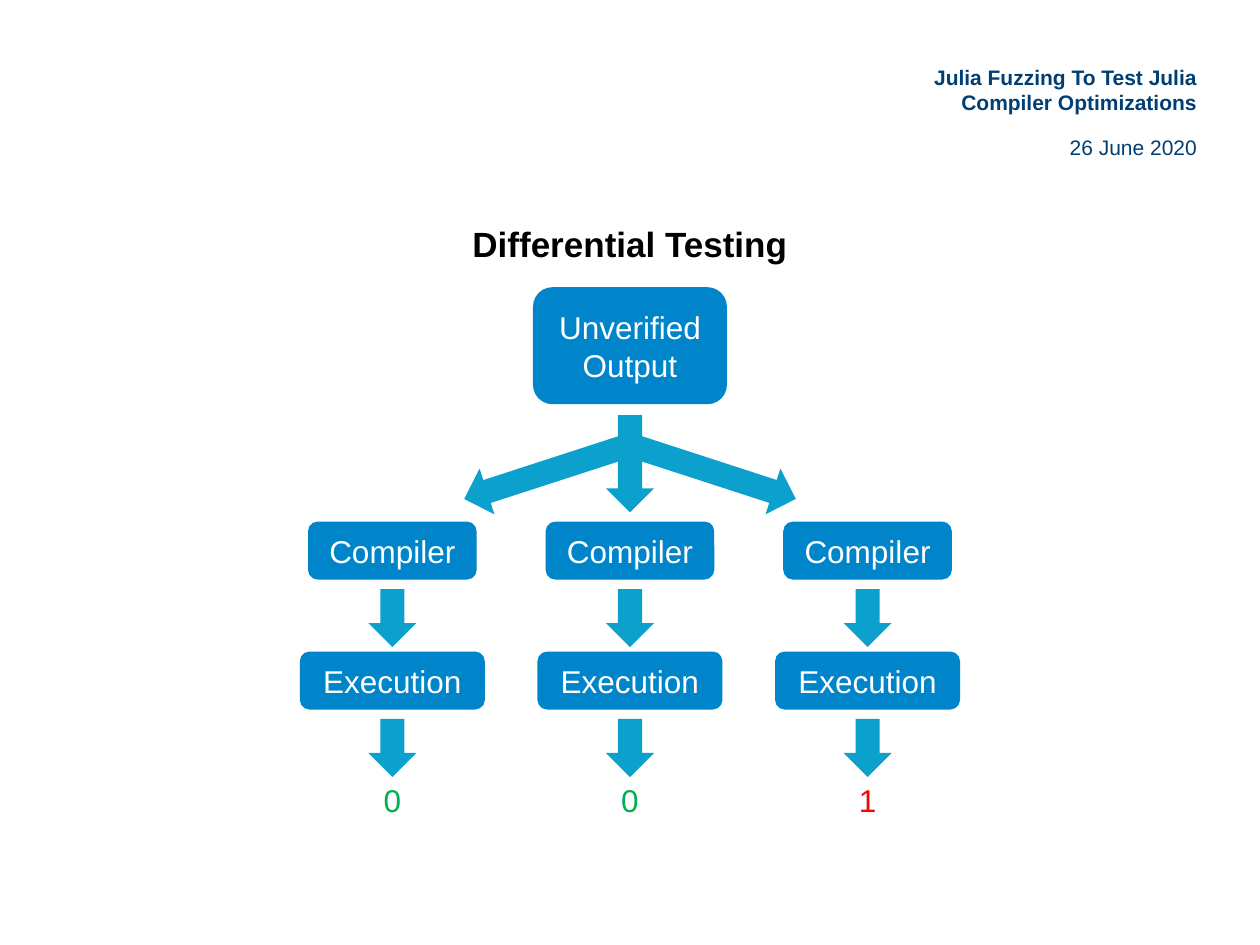
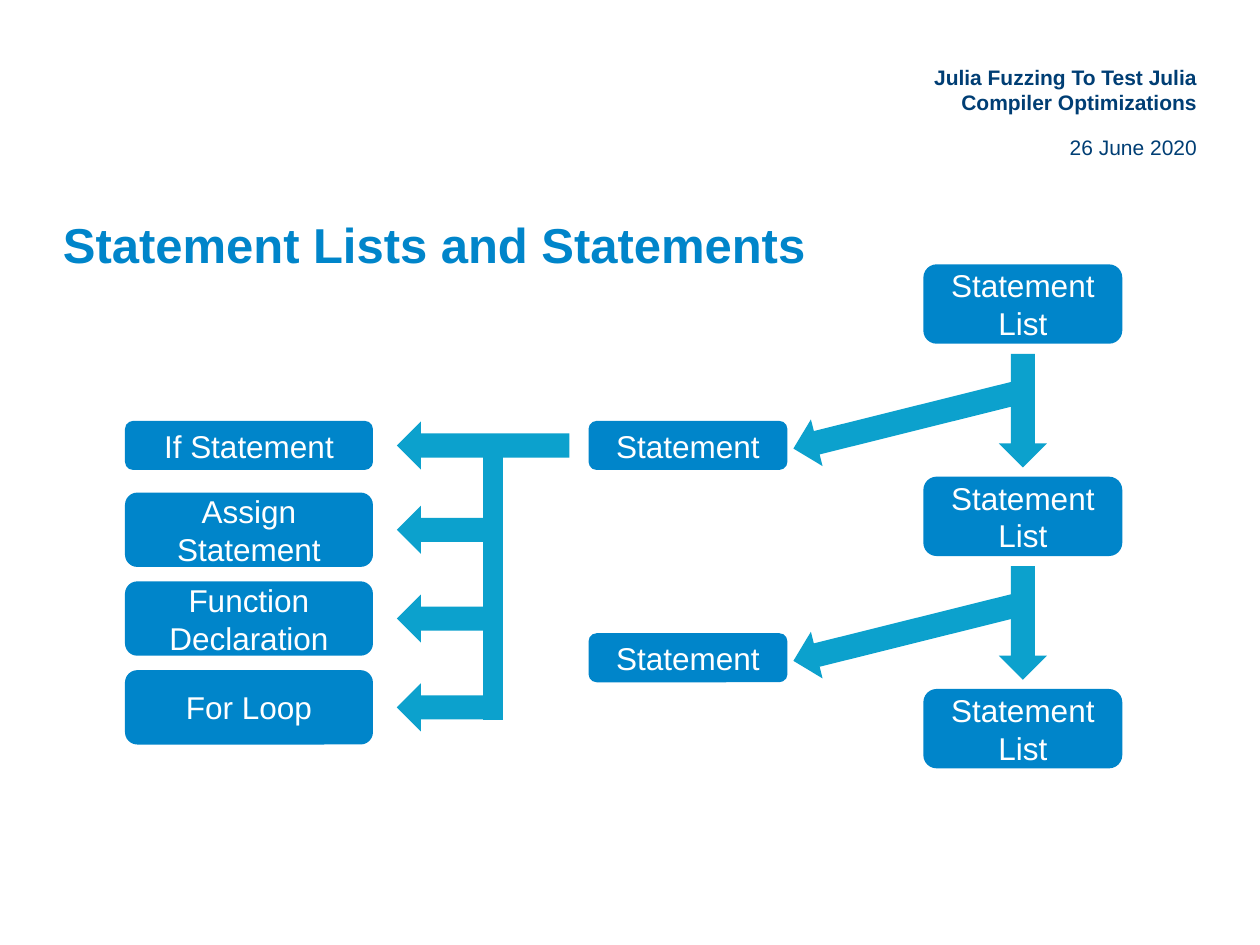
from pptx import Presentation
from pptx import util as u
from pptx.dml.color import RGBColor
from pptx.enum import shapes, text

HUE = {"box": "0085CA", "arrow": "0CA1CD", "head": "003E74", "black": "000000",
       "white": "FFFFFF", "good": "00B050", "bad": "FF0000"}
FONT = "Arial"
KIND = shapes.MSO_SHAPE
ALIGN = text.PP_ALIGN
MID = text.MSO_ANCHOR.MIDDLE
FLAT = {"margin_left": 0, "margin_right": 0, "margin_top": 0, "margin_bottom": 0}
THICK = 0.97


def put(obj, form):
    for key, val in form.items():
        setattr(obj, key, val)


def write(shape, words, size, hue, bold=False, align=ALIGN.CENTER, lead=0, **frame):
    """Set the text of a shape; extra keywords go to its text frame."""
    put(shape.text_frame, {"word_wrap": True, **frame})
    para = shape.text_frame.paragraphs[0]
    put(para, {"alignment": align, "space_before": u.Pt(lead)})
    run = para.add_run()
    run.text = words
    put(run.font, {"name": FONT, "size": u.Pt(size), "bold": bold})
    run.font.color.rgb = RGBColor.from_string(HUE[hue])


def label(slide, left, top, wide, high, words, size, hue, **form):
    area = slide.shapes.add_textbox(*map(u.Cm, (left, top, wide, high)))
    write(area, words, size, hue, **form)


def solid(slide, kind, x, y, wide, high, hue, turn=0):
    """Draw a filled shape centred on (x, y)."""
    shape = slide.shapes.add_shape(
        kind, *map(u.Cm, (x - wide / 2, y - high / 2, wide, high)))
    shape.shadow.inherit = False
    shape.fill.solid()
    shape.fill.fore_color.rgb = RGBColor.from_string(HUE[hue])
    shape.line.fill.background()
    shape.rotation = turn
    return shape


def box(slide, x, y, wide, high, words):
    shape = solid(slide, KIND.ROUNDED_RECTANGLE, x, y, wide, high, "box")
    write(shape, words, 18, "white", vertical_anchor=MID)


def arrow(slide, x, y, span, turn=90):
    solid(slide, KIND.RIGHT_ARROW, x, y, span, THICK, "arrow", turn)


def start(deck, title, size, hue, align):
    """Add a slide with its title and the shared header."""
    slide = deck.slides.add_slide(deck.slide_layouts[6])
    label(slide, 1.27, 4.14, 22.86, 1.42, title, size, hue, bold=True, align=align,
          vertical_anchor=MID, **{**FLAT, "margin_top": u.Cm(0.13)})
    head = {"align": ALIGN.RIGHT, "lead": 2.4, **FLAT}
    label(slide, 17.12, 1.3, 7.01, 1.42,
          "Julia Fuzzing To Test Julia Compiler Optimizations", 12, "head",
          bold=True, **head)
    label(slide, 19.71, 2.72, 4.42, 0.71, "26 June 2020", 12, "head", **head)
    return slide


def testing(deck):
    slide = start(deck, "Differential Testing", 20, "black", ALIGN.CENTER)
    mid, step = 12.7, 4.79
    box(slide, mid, 6.97, 3.91, 2.36, "Unverified Output")
    arrow(slide, mid, 9.35, 1.96)
    for side, turn in ((-1, 162), (1, 18)):
        arrow(slide, mid + side * 1.75, 9.54, 3.35, turn)
    results = (("0", "good"), ("0", "good"), ("1", "bad"))
    for col, (digit, hue) in enumerate(results, -1):
        x = mid + col * step
        for y, wide, words in ((11.1, 3.4, "Compiler"), (13.72, 3.73, "Execution")):
            box(slide, x, y, wide, 1.17, words)
            arrow(slide, x, y + 1.36, 1.17)
        label(slide, x - 0.43, 15.63, 0.86, 1.02, digit, 18, hue, word_wrap=False)


def lists(deck):
    slide = start(deck, "Statement Lists and Statements", 28, "box", ALIGN.LEFT)
    x, top, step, count = 20.62, 6.13, 4.28, 3
    for row in range(count):
        y = top + row * step
        box(slide, x, y, 4.01, 1.6, "Statement List")
        if row < count - 1:
            arrow(slide, x, y + 2.15, 2.29)
            arrow(slide, 18.25, y + 2.35, 4.65, 166)
            box(slide, 13.87, y + 2.85, 4.01, 0.99, "Statement")

    tip = 8
    kinds = (("If Statement", 8.98, 0.99, 3.48), ("Assign Statement", 10.68, 1.5, 2),
             ("Function Declaration", 12.47, 1.5, 2), ("For Loop", 14.26, 1.5, 2.13))
    for words, y, high, span in kinds:
        box(slide, 5.02, y, 5, high, words)
        arrow(slide, tip + span / 2, y, span, 180)
    solid(slide, KIND.FLOWCHART_PROCESS, 9.94, 11.81, 0.41, 5.41, "arrow")


def main():
    deck = Presentation()
    put(deck, {"slide_width": u.Cm(25.4), "slide_height": u.Cm(19.05)})
    testing(deck)
    lists(deck)
    deck.save("out.pptx")


if __name__ == "__main__":
    main()
